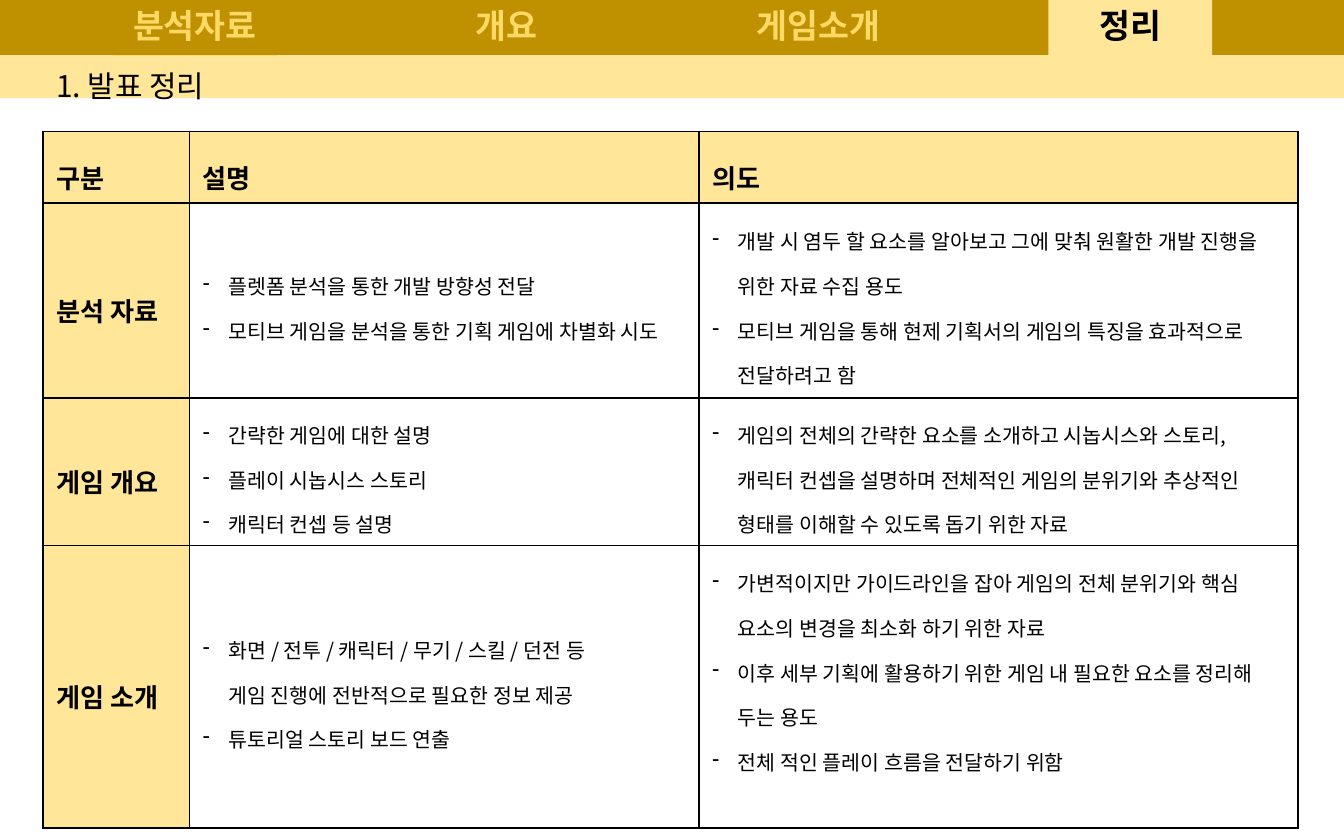
from lxml import etree
from pptx import Presentation
from pptx.dml.color import RGBColor
from pptx.enum.shapes import MSO_SHAPE
from pptx.enum.text import MSO_ANCHOR, PP_ALIGN
from pptx.oxml.ns import qn
from pptx.util import Inches, Pt

RECTANGLE = MSO_SHAPE.RECTANGLE
MIDDLE = MSO_ANCHOR.MIDDLE
CENTER, LEFT = PP_ALIGN.CENTER, PP_ALIGN.LEFT

GOLD = RGBColor(0xBF, 0x90, 0x00)
CREAM = RGBColor(0xFF, 0xE6, 0x99)
YELLOW = RGBColor(0xFF, 0xD9, 0x66)
BLACK = RGBColor(0, 0, 0)
WHITE = RGBColor(0xFF, 0xFF, 0xFF)

FONT = "Noto Sans CJK KR"
SLIDE_WIDTH, SLIDE_HEIGHT = 10, 6.25
MARGIN = 0.32
TAB_LEFT, TAB_PITCH, TAB_WIDTH, TAB_HEIGHT = 0.84, 2.32, 1.22, 0.41
BAND_HEIGHT = 0.32
TABLE_TOP = 0.98
COLUMN_WIDTHS = (1.09, 3.79, 4.46)
ROW_HEIGHTS = (0.53, 1.45, 1.1, 2.1)
INDENT = 0.19
LAST_CELL_BOTTOM = 0.38

TAB_FORMAT = {"name": FONT, "size": Pt(18), "bold": True}
HEADING_FORMAT = {"name": FONT, "size": Pt(16), "bold": False}
LABEL_FORMAT = {"name": FONT, "size": Pt(14), "bold": True}
ITEM_FORMAT = {"name": FONT, "size": Pt(11), "bold": False}

TABS = (
    ("분석자료", GOLD, YELLOW),
    ("개요", None, YELLOW),
    ("게임소개", None, YELLOW),
    ("정리", CREAM, BLACK),
)
HEADERS = ("구분", "설명", "의도")
SECTIONS = (
    (
        "분석 자료",
        ("플렛폼 분석을 통한 개발 방향성 전달",
         "모티브 게임을 분석을 통한 기획 게임에 차별화 시도"),
        ("개발 시 염두 할 요소를 알아보고 그에 맞춰 원활한 개발 진행을 위한 자료 수집 용도",
         "모티브 게임을 통해 현제 기획서의 게임의 특징을 효과적으로 전달하려고 함"),
    ),
    (
        "게임 개요",
        ("간략한 게임에 대한 설명", "플레이 시놉시스 스토리", "캐릭터 컨셉 등 설명"),
        ("게임의 전체의 간략한 요소를 소개하고 시놉시스와 스토리, 캐릭터 컨셉을 설명하며 "
         "전체적인 게임의 분위기와 추상적인 형태를 이해할 수 있도록 돕기 위한 자료",),
    ),
    (
        "게임 소개",
        ("화면 / 전투 / 캐릭터 / 무기 / 스킬 / 던전 등\v게임 진행에 전반적으로 필요한 정보 제공",
         "튜토리얼 스토리 보드 연출"),
        ("가변적이지만 가이드라인을 잡아 게임의 전체 분위기와 핵심 요소의 변경을 최소화 하기 위한 자료",
         "이후 세부 기획에 활용하기 위한 게임 내 필요한 요소를 정리해 두는 용도",
         "전체 적인 플레이 흐름을 전달하기 위함"),
    ),
)


def write_paragraph(paragraph, words, font_format, color, spacing, align=LEFT):
    paragraph.text = words
    paragraph.line_spacing = spacing
    paragraph.alignment = align
    for run in paragraph.runs:
        for attribute, value in font_format.items():
            setattr(run.font, attribute, value)
        run.font.color.rgb = color
        east_asian = etree.SubElement(run.font._element, qn("a:ea"))
        east_asian.set("typeface", FONT)


def add_dash(paragraph):
    properties = paragraph._p.get_or_add_pPr()
    properties.set("marL", str(Inches(INDENT)))
    properties.set("indent", str(-Inches(INDENT)))
    bullet = etree.SubElement(properties, qn("a:buChar"))
    bullet.set("char", "-")


def add_band(slide, left, top, width, height, fill):
    band = slide.shapes.add_shape(
        RECTANGLE, Inches(left), Inches(top), Inches(width), Inches(height))
    band.shadow.inherit = False
    band.fill.solid()
    band.fill.fore_color.rgb = fill
    band.line.fill.background()
    return band


def add_label(slide, left, top, width, height):
    return slide.shapes.add_textbox(
        Inches(left), Inches(top), Inches(width), Inches(height))


def write_label(label, words, font_format, color, spacing, align):
    frame = label.text_frame
    frame.word_wrap = True
    frame.vertical_anchor = MIDDLE
    write_paragraph(frame.paragraphs[0], words, font_format, color, spacing, align)


def add_tabs(slide):
    for index, (words, fill, color) in enumerate(TABS):
        place = (TAB_LEFT + index * TAB_PITCH, 0, TAB_WIDTH, TAB_HEIGHT)
        tab = add_band(slide, *place, fill) if fill else add_label(slide, *place)
        write_label(tab, words, TAB_FORMAT, color, 0.9, CENTER)


def add_borders(cell):
    properties = cell._tc.get_or_add_tcPr()
    for position, side in enumerate(("lnL", "lnR", "lnT", "lnB")):
        border = etree.Element(qn(f"a:{side}"), w=str(Pt(1)))
        fill = etree.SubElement(border, qn("a:solidFill"))
        etree.SubElement(fill, qn("a:srgbClr"), val=str(BLACK))
        properties.insert(position, border)


def fill_cell(cell, lines, fill, font_format, dashed):
    cell.fill.solid()
    cell.fill.fore_color.rgb = fill
    cell.vertical_anchor = MIDDLE
    add_borders(cell)
    frame = cell.text_frame
    for index, words in enumerate(lines):
        paragraph = frame.add_paragraph() if index else frame.paragraphs[0]
        write_paragraph(paragraph, words, font_format, BLACK, 1.5)
        if dashed:
            add_dash(paragraph)


def add_summary(slide):
    table = slide.shapes.add_table(
        len(ROW_HEIGHTS), len(COLUMN_WIDTHS), Inches(MARGIN), Inches(TABLE_TOP),
        Inches(sum(COLUMN_WIDTHS)), Inches(sum(ROW_HEIGHTS))).table
    for column, width in zip(table.columns, COLUMN_WIDTHS):
        column.width = Inches(width)
    for row, height in zip(table.rows, ROW_HEIGHTS):
        row.height = Inches(height)
    for column, header in enumerate(HEADERS):
        fill_cell(table.cell(0, column), (header,), CREAM, LABEL_FORMAT, False)
    for row, (title, *details) in enumerate(SECTIONS, 1):
        fill_cell(table.cell(row, 0), (title,), CREAM, LABEL_FORMAT, False)
        for column, items in enumerate(details, 1):
            fill_cell(table.cell(row, column), items, WHITE, ITEM_FORMAT, True)
    last_cell = table.cell(len(SECTIONS), len(HEADERS) - 1)
    last_cell.margin_bottom = Inches(LAST_CELL_BOTTOM)


def main():
    presentation = Presentation()
    presentation.slide_width = Inches(SLIDE_WIDTH)
    presentation.slide_height = Inches(SLIDE_HEIGHT)
    slide = presentation.slides.add_slide(presentation.slide_layouts[6])
    add_band(slide, 0, 0, SLIDE_WIDTH, TAB_HEIGHT, GOLD)
    add_band(slide, 0, TAB_HEIGHT, SLIDE_WIDTH, BAND_HEIGHT, CREAM)
    heading = add_label(
        slide, MARGIN, TAB_HEIGHT, SLIDE_WIDTH - 2 * MARGIN, BAND_HEIGHT)
    write_label(heading, "1. 발표 정리", HEADING_FORMAT, BLACK, 1.5, LEFT)
    add_tabs(slide)
    add_summary(slide)
    presentation.save("out.pptx")


if __name__ == "__main__":
    main()
